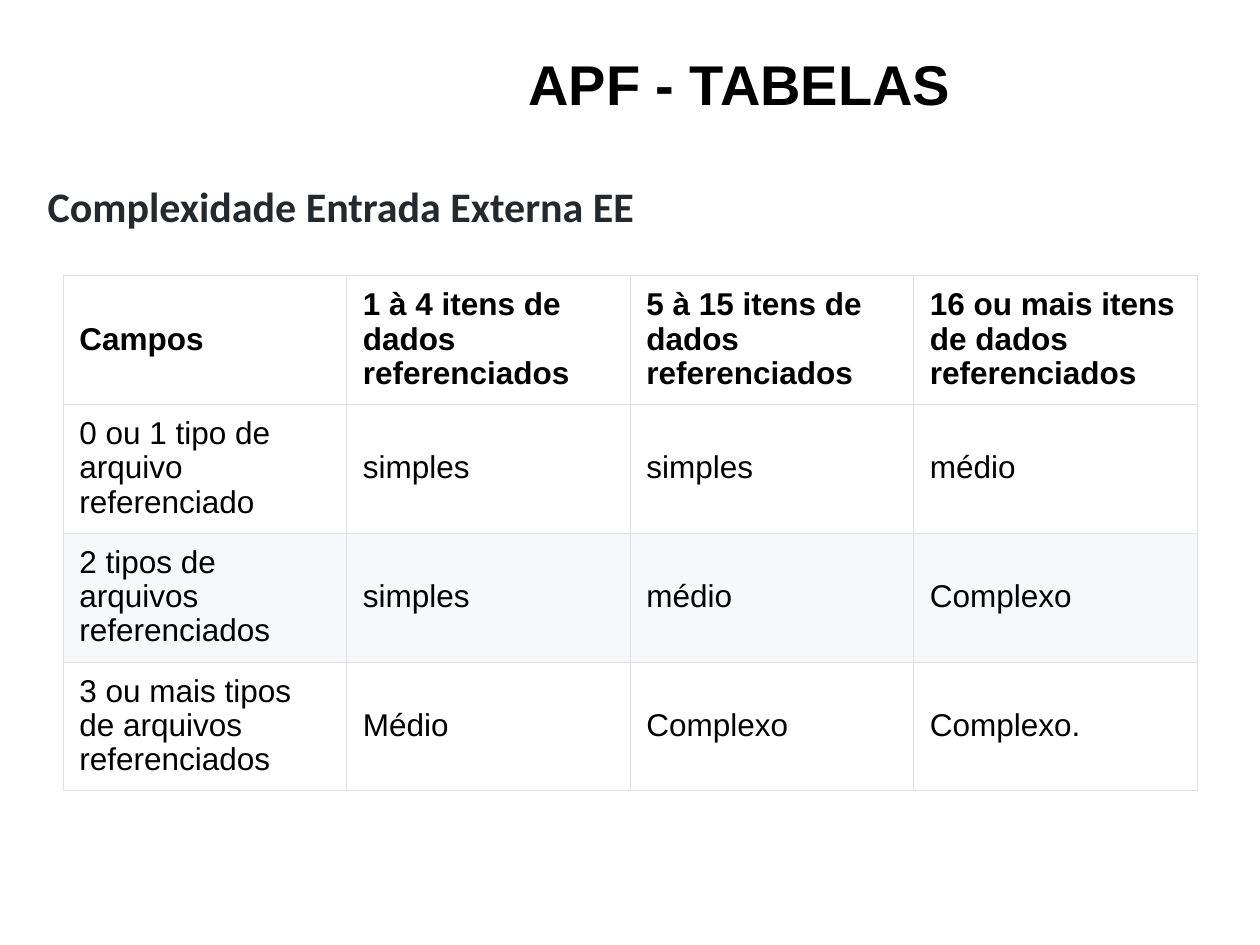
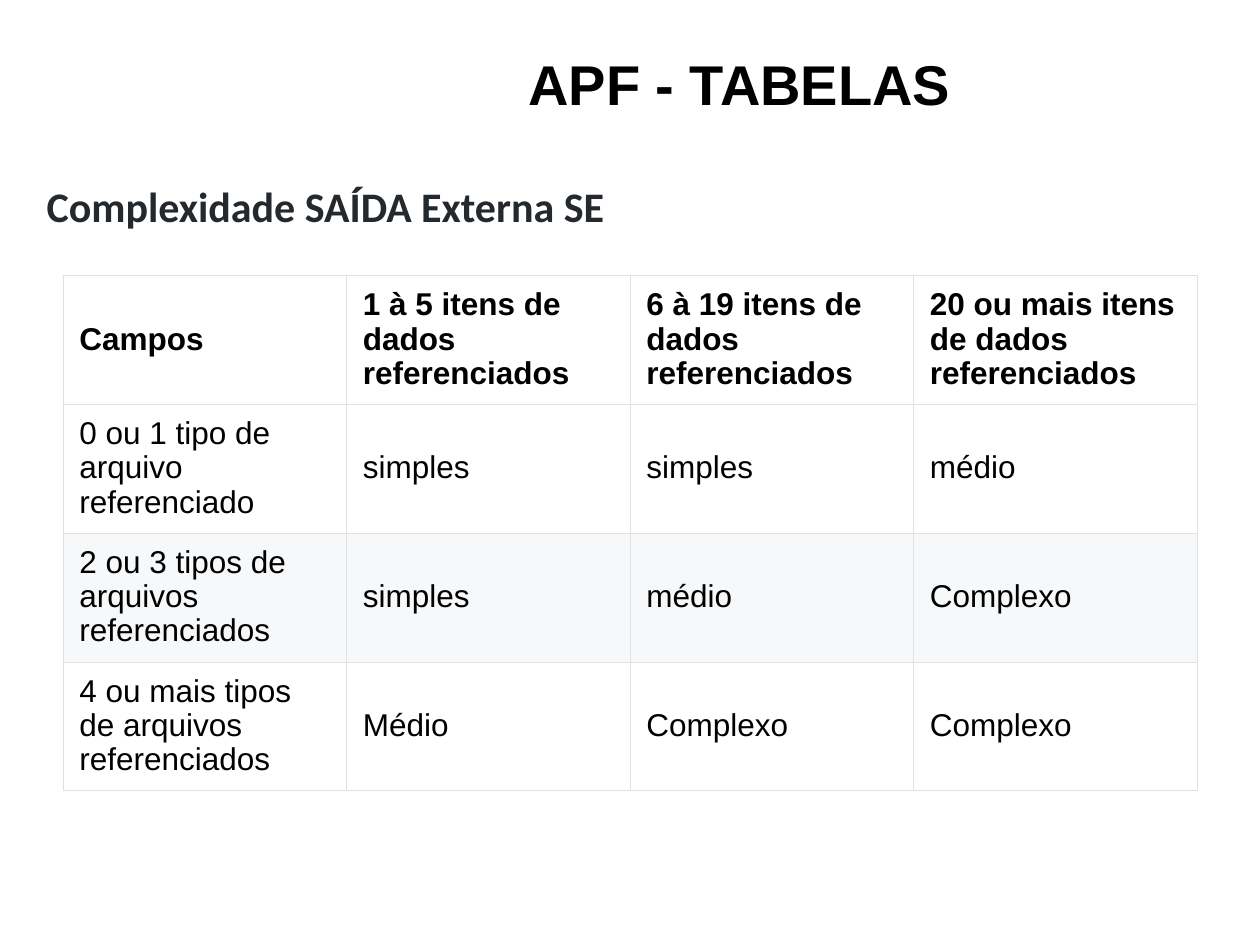
import dataclasses

import lxml.etree
import pptx
import pptx.dml.color
import pptx.enum.text
import pptx.oxml.ns
import pptx.util

Cm = pptx.util.Cm
Pt = pptx.util.Pt

# Content
TITLE = "APF - TABELAS"
COMPLEXITY_TABLES = [
    {
        "heading": "Complexidade Entrada Externa EE",
        "heading_left": 0.71,
        "rows": [
            ["Campos", "1 à 4 itens de dados referenciados",
             "5 à 15 itens de dados referenciados", "16 ou mais itens de dados referenciados"],
            ["0 ou 1 tipo de arquivo referenciado", "simples", "simples", "médio"],
            ["2 tipos de arquivos referenciados", "simples", "médio", "Complexo"],
            ["3 ou mais tipos de arquivos referenciados", "Médio", "Complexo", "Complexo."],
        ],
    },
    {
        "heading": "Complexidade SAÍDA Externa SE",
        "heading_left": 0.69,
        "rows": [
            ["Campos", "1 à 5 itens de dados referenciados",
             "6 à 19 itens de dados referenciados", "20 ou mais itens de dados referenciados"],
            ["0 ou 1 tipo de arquivo referenciado", "simples", "simples", "médio"],
            ["2 ou 3 tipos de arquivos referenciados", "simples", "médio", "Complexo"],
            ["4 ou mais tipos de arquivos referenciados", "Médio", "Complexo", "Complexo"],
        ],
    },
]


@dataclasses.dataclass(frozen=True)
class Theme:
    background: str = "FFFFFF"
    band: str = "F6F8FA"
    border: str = "DFE2E5"
    text: str = "000000"
    heading: str = "24292E"
    body_font: str = "Arial"
    heading_font: str = "Calibri"
    title_size: int = 32
    heading_size: int = 24
    cell_size: int = 18
    border_width: float = 0.34
    cell_spacing: float = 0.97


THEME = Theme()


def rgb(value):
    return pptx.dml.color.RGBColor.from_string(value)


def add_run(paragraph, text, font_name, size, color, bold):
    run = paragraph.add_run()
    run.text = text
    run.font.name = font_name
    run.font.size = Pt(size)
    run.font.bold = bold
    run.font.color.rgb = rgb(color)


def add_text(slide, box, top_inset, text, font_name, size, color, alignment):
    """Add one bold line of text, set from the top of its box."""
    shape = slide.shapes.add_textbox(*(Cm(length) for length in box))
    frame = shape.text_frame
    frame.word_wrap = True
    frame.vertical_anchor = pptx.enum.text.MSO_ANCHOR.TOP
    frame.margin_top = Cm(top_inset)
    paragraph = frame.paragraphs[0]
    paragraph.alignment = alignment
    add_run(paragraph, text, font_name, size, color, True)


def add_borders(cell):
    properties = cell._tc.get_or_add_tcPr()
    for side in ("a:lnL", "a:lnR", "a:lnT", "a:lnB"):
        line = lxml.etree.SubElement(properties, pptx.oxml.ns.qn(side),
                                     w=str(int(Pt(THEME.border_width))))
        fill = lxml.etree.SubElement(line, pptx.oxml.ns.qn("a:solidFill"))
        lxml.etree.SubElement(fill, pptx.oxml.ns.qn("a:srgbClr"), val=THEME.border)


def format_cell(cell, text, row_index):
    cell.vertical_anchor = pptx.enum.text.MSO_ANCHOR.MIDDLE
    cell.margin_left = cell.margin_right = Cm(0.33)
    cell.margin_top = cell.margin_bottom = Cm(0.13)
    add_borders(cell)
    cell.fill.solid()
    cell.fill.fore_color.rgb = rgb(THEME.band if row_index == 2 else THEME.background)
    paragraph = cell.text_frame.paragraphs[0]
    paragraph.line_spacing = THEME.cell_spacing
    add_run(paragraph, text, THEME.body_font, THEME.cell_size, THEME.text, row_index == 0)


def add_complexity_table(slide, rows):
    width, height = Cm(22.86), Cm(10.39)
    table = slide.shapes.add_table(len(rows), len(rows[0]), Cm(1.27), Cm(5.55),
                                   width, height).table
    table.first_row = False
    table.horz_banding = False
    for row_index, texts in enumerate(rows):
        for column_index, text in enumerate(texts):
            format_cell(table.cell(row_index, column_index), text, row_index)


def build_slide(presentation, content):
    slide = presentation.slides.add_slide(presentation.slide_layouts[6])
    slide.background.fill.solid()
    slide.background.fill.fore_color.rgb = rgb(THEME.background)
    # Title
    add_text(slide, (5.69, 0.76, 18.44, 2.16), 0.23, TITLE, THEME.body_font,
             THEME.title_size, THEME.text, pptx.enum.text.PP_ALIGN.CENTER)
    # Complexity levels
    add_complexity_table(slide, content["rows"])
    # Heading above the table
    add_text(slide, (content["heading_left"], 3.18, 14.5, 2.2), 0.46, content["heading"],
             THEME.heading_font, THEME.heading_size, THEME.heading,
             pptx.enum.text.PP_ALIGN.LEFT)


def main():
    presentation = pptx.Presentation()
    presentation.slide_width = Cm(25.4)
    presentation.slide_height = Cm(19.05)
    for content in COMPLEXITY_TABLES:
        build_slide(presentation, content)
    presentation.save("out.pptx")


if __name__ == "__main__":
    main()
